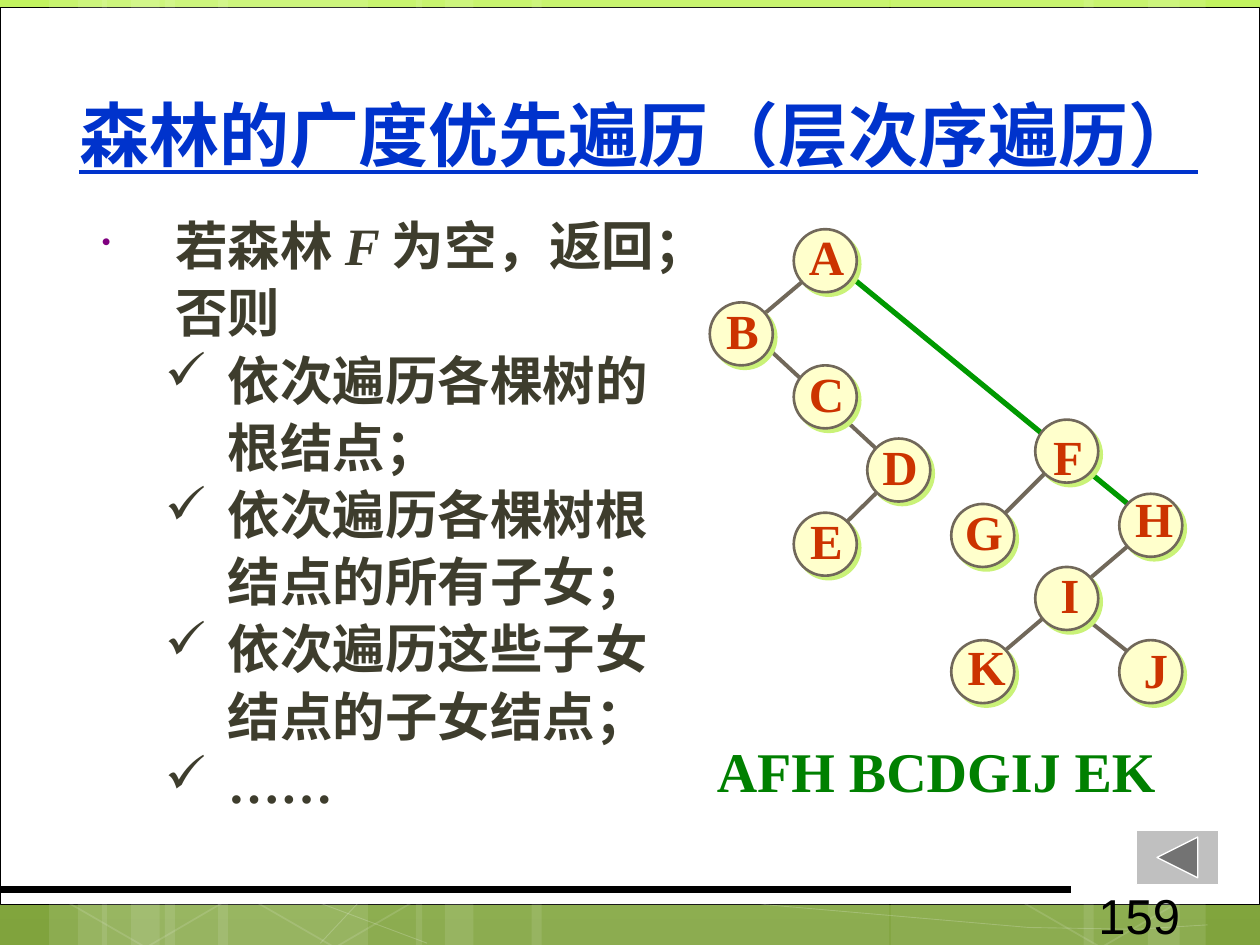
from copy import deepcopy
from dataclasses import dataclass

from lxml.etree import SubElement
from pptx import Presentation
from pptx.dml.color import RGBColor
from pptx.enum.shapes import MSO_CONNECTOR, MSO_SHAPE
from pptx.enum.text import MSO_ANCHOR, MSO_AUTO_SIZE, PP_ALIGN
from pptx.oxml.ns import qn
from pptx.util import Pt


@dataclass(frozen=True)
class Theme:
    background = ((0, "C2F35F"), (0.62, "92BE3F"), (1, "80A33D"))
    white, black = "FFFFFF", "000000"
    title, body, bullet = "0033CC", "3E3D2D", "800080"
    node, edge, node_shadow, letter = "FFFFCC", "71685A", "CAF278", "CC3300"
    root_link, order, button = "009900", "008000", "C0C0C0"
    title_font, serif, sans = "TeX Gyre Adventor", "Times New Roman", "Arial"
    title_size, body_size, order_size, label_size = 40, 30, 32, 28


class ForestSlide:
    def __init__(self, theme, slide):
        self.theme = theme
        self.slide = slide
        self.shapes = slide.shapes

    def background(self):
        fill = self.slide.background.fill
        fill.gradient()
        fill.gradient_angle = 270
        stop_list = self.slide.element.find(".//" + qn("a:gsLst"))
        stop_list.insert(1, deepcopy(stop_list[0]))
        for stop, (position, color) in zip(fill.gradient_stops, self.theme.background):
            stop.position = position
            stop.color.rgb = RGBColor.from_string(color)

    def set_alpha(self, properties, percent):
        color = properties.find(".//" + qn("a:srgbClr"))
        SubElement(color, qn("a:alpha"), val=str(percent * 1000))

    def outline(self, shape, color, width, alpha=100):
        shape.line.color.rgb = RGBColor.from_string(color)
        shape.line.width = Pt(width)
        if alpha < 100:
            self.set_alpha(shape.element.spPr.find(qn("a:ln")), alpha)

    def shape(self, kind, left, top, width, height, fill=None, alpha=100):
        shape = self.shapes.add_shape(kind, Pt(left), Pt(top), Pt(width), Pt(height))
        shape.shadow.inherit = False
        shape.line.fill.background()
        if fill is None:
            shape.fill.background()
        else:
            shape.fill.solid()
            shape.fill.fore_color.rgb = RGBColor.from_string(fill)
            if alpha < 100:
                self.set_alpha(shape.element.spPr.find(qn("a:solidFill")), alpha)
        return shape

    def curve(self, points):
        """Draw a faint open outline through the points."""
        builder = self.shapes.build_freeform(Pt(points[0][0]), Pt(points[0][1]))
        builder.add_line_segments([(Pt(x), Pt(y)) for x, y in points[1:]], close=False)
        shape = builder.convert_to_shape()
        shape.shadow.inherit = False
        shape.fill.background()
        self.outline(shape, self.theme.white, 0.5, alpha=20)

    def line(self, start, end, color, width):
        connector = self.shapes.add_connector(
            MSO_CONNECTOR.STRAIGHT, *(Pt(value) for value in (*start, *end)))
        self.outline(connector, color, width)
        SubElement(connector.element.spPr, qn("a:effectLst"))

    def text_frame(self, left, top, width, height, wrap=True):
        box = self.shapes.add_textbox(Pt(left), Pt(top), Pt(width), Pt(height))
        box.text_frame.word_wrap = wrap
        return box.text_frame

    def run(self, paragraph, text, font, size, color, bold=True, italic=False):
        run = paragraph.add_run()
        run.text = text
        run.font.name = font
        run.font.size = Pt(size)
        run.font.bold = bold
        run.font.italic = italic
        run.font.color.rgb = RGBColor.from_string(color)
        return run

    def bullet(self, paragraph, character, color, size):
        properties = paragraph._p.get_or_add_pPr()
        SubElement(SubElement(properties, qn("a:buClr")), qn("a:srgbClr"), val=color)
        SubElement(properties, qn("a:buSzPct"), val=str(size * 1000))
        SubElement(properties, qn("a:buChar"), char=character)

    def title(self, text):
        frame = self.text_frame(41, 33.1, 648, 86.4, wrap=False)
        frame.margin_left = frame.margin_right = frame.margin_top = frame.margin_bottom = 0
        frame.vertical_anchor = MSO_ANCHOR.MIDDLE
        paragraph = frame.paragraphs[0]
        paragraph.alignment = PP_ALIGN.CENTER
        theme = self.theme
        run = self.run(paragraph, text, theme.title_font, theme.title_size, theme.title)
        run.font.underline = True

    def body(self, lines):
        """Each line is (level, has bullet, runs); a run is (text, italic)."""
        theme = self.theme
        styles = ((42, -42, "•", theme.bullet, 50), (72, -36, "✓", theme.body, 100))
        frame = self.text_frame(51.1, 122.4, 387.4, 362.9)
        for index, (level, has_bullet, runs) in enumerate(lines):
            paragraph = frame.add_paragraph() if index else frame.paragraphs[0]
            margin, indent, character, color, size = styles[level]
            properties = paragraph._p.get_or_add_pPr()
            properties.set("marL", str(Pt(margin)))
            properties.set("indent", str(Pt(indent if has_bullet else 0)))
            if has_bullet:
                self.bullet(paragraph, character, color, size)
            paragraph.level = level
            paragraph.line_spacing = 0.9
            paragraph.space_before = Pt(6 if index else 0)
            for text, italic in runs:
                self.run(paragraph, text, theme.serif, theme.body_size, theme.body,
                         italic=italic)

    def node(self, letter, left, top, shift):
        theme, diameter, label_height = self.theme, 36, 41
        circle = self.shape(MSO_SHAPE.OVAL, left, top, diameter, diameter, theme.node)
        self.outline(circle, theme.edge, 1.5)
        shadow = SubElement(circle.element.spPr.find(qn("a:effectLst")), qn("a:outerShdw"),
                            dist=str(Pt(2.8)), dir="2700000", algn="ctr", rotWithShape="0")
        SubElement(shadow, qn("a:srgbClr"), val=theme.node_shadow)
        frame = self.text_frame(left + shift[0], top + shift[1] + (diameter - label_height) / 2,
                                diameter, label_height, wrap=False)
        frame.auto_size = MSO_AUTO_SIZE.SHAPE_TO_FIT_TEXT
        frame.vertical_anchor = MSO_ANCHOR.MIDDLE
        frame.paragraphs[0].alignment = PP_ALIGN.CENTER
        self.run(frame.paragraphs[0], letter, theme.serif, theme.label_size, theme.letter)


STRIPS = ((94.3, 116), (28.1, 33), (44.6, 55.4), (124.6, 116.6), (58.3, 33), (74.9, 55.4),
          (509, 116), (656, 33), (619.2, 55), (303.8, 204.5), (237.6, 33), (254.2, 55.4))
HEXAGON_LEFTS = (29.5, 137.5, 575.3)
CURVES = (
    ((26, 444), (107, 483), (180, 515), (244, 539)),
    ((27, 416), (107, 443.5), (258, 484.5), (438, 517), (588, 530), (649, 531), (690, 528.5)),
    ((183, 539), (222, 497.5), (279, 460), (333, 438.5), (426, 416), (473, 409.5),
     (549, 404.5), (654, 404.5), (689, 407.5)),
)
BODY = (
    (0, True, (("若森林 ", False), ("F ", True), ("为空，返回；", False))),
    (0, False, (("否则", False),)),
    (1, True, (("依次遍历各棵树的", False),)),
    (1, False, (("根结点；", False),)),
    (1, True, (("依次遍历各棵树根", False),)),
    (1, False, (("结点的所有子女；", False),)),
    (1, True, (("依次遍历这些子女", False),)),
    (1, False, (("结点的子女结点；", False),)),
    (1, True, (("……", False),)),
)
EDGES = (((507.6, 275), (477.4, 304.6)), ((430, 190.8), (507.6, 262.8)),
         ((465.8, 154.8), (430, 185)), ((621.4, 354.2), (651.6, 378)),
         ((651.6, 306), (573.8, 372.2)), ((603.4, 264.2), (567.4, 300.2)))
NODES = {"A": (453.6, 131), "B": (405.6, 172.8), "C": (453.6, 208.8), "D": (495.6, 250.6),
         "E": (453.6, 293), "F": (591.6, 239.8), "G": (543.6, 288), "H": (639.6, 282.2),
         "I": (591.6, 324), "J": (639.6, 365.8), "K": (543.6, 365.8)}
LETTER_SHIFT = (0.7, -2.5)
SPECIAL_SHIFTS = {"F": (0.7, 2.5), "H": (2, -4), "I": (1.8, -2.5), "J": (2.9, -1.8),
                  "K": (2.2, -3.2)}


def main():
    presentation = Presentation()
    presentation.slide_width, presentation.slide_height = Pt(720), Pt(540)
    theme = Theme()
    forest = ForestSlide(theme, presentation.slides.add_slide(presentation.slide_layouts[6]))

    forest.background()
    panel = forest.shape(MSO_SHAPE.RECTANGLE, 0, 4.3, 720, 512.7, theme.white)
    forest.outline(panel, theme.black, 0.5)
    for left, width in STRIPS:
        forest.shape(MSO_SHAPE.RECTANGLE, left, 0, width, 540, theme.white, alpha=10)
    for points in CURVES:
        forest.curve(points)
    for left in HEXAGON_LEFTS:
        hexagon = forest.shape(MSO_SHAPE.HEXAGON, left, 426, 116, 109.4)
        hexagon.adjustments[0] = 0.285
        hexagon.rotation = 30
        forest.outline(hexagon, theme.white, 1, alpha=12)
    forest.line((0, 508.3), (612, 508.3), theme.black, 4.5)

    forest.title("森林的广度优先遍历（层次序遍历）")
    forest.body(BODY)
    page_number = forest.text_frame(620.6, 502.6, 105, 28.8)
    forest.run(page_number.paragraphs[0], "159", theme.sans, theme.label_size, theme.black,
               bold=False)
    order = forest.text_frame(402.5, 417.6, 272.9, 45.4)
    order.auto_size = MSO_AUTO_SIZE.SHAPE_TO_FIT_TEXT
    forest.run(order.paragraphs[0], "AFH BCDGIJ EK", theme.serif, theme.order_size, theme.order)
    button = forest.shape(MSO_SHAPE.ACTION_BUTTON_BACK_OR_PREVIOUS, 649.4, 474.5, 46.8, 31,
                          theme.button)
    forest.outline(button, theme.white, 0)

    forest.line((483.8, 156.2), (651.6, 293.8), theme.root_link, 3)
    for start, end in EDGES:
        forest.line(start, end, theme.edge, 2.25)
    for letter, (left, top) in NODES.items():
        forest.node(letter, left, top, SPECIAL_SHIFTS.get(letter, LETTER_SHIFT))

    presentation.save("out.pptx")


if __name__ == "__main__":
    main()
